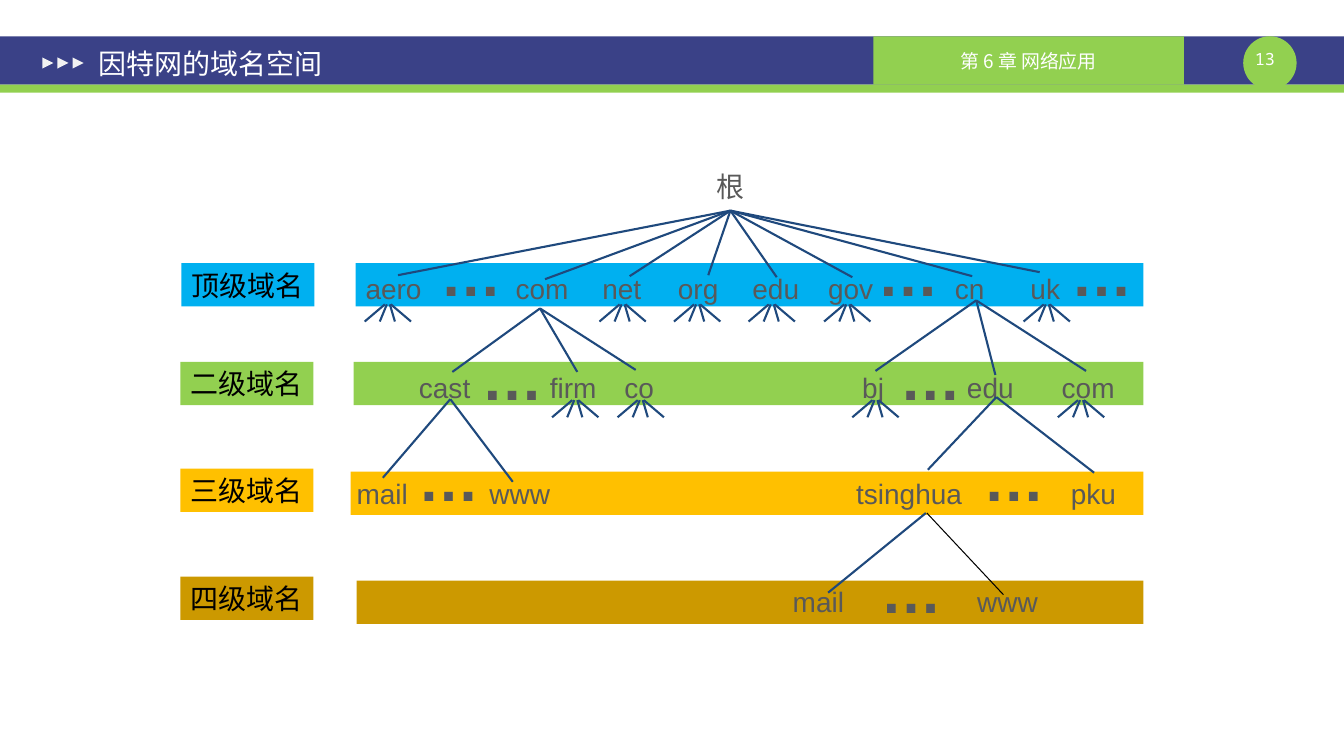
"""Build a slide that shows the Internet domain name space as a tree."""
from lxml import etree
from pptx import Presentation
from pptx.dml.color import RGBColor
from pptx.enum.shapes import MSO_CONNECTOR, MSO_SHAPE as Preset
from pptx.enum.text import MSO_ANCHOR as Anchor, MSO_AUTO_SIZE as AutoSize, PP_ALIGN as Align
from pptx.oxml.ns import qn
from pptx.util import Pt

PX = 9144
SLIDE_SIZE = (1334, 750)
NAVY, GREEN, WHITE, GREY, BLUE, BLACK = "3A4187", "92D050", "FFFFFF", "595959", "1F497D", "000000"

TITLE = ("因特网的域名空间", (85, 39, 583, 47))
CHAPTER = ("第 6 章 网络应用", (867, 36, 308, 48))
PAGE = ("13 ", (1234, 48, 53, 20))
ROOT = ("根", (697, 161, 56, 48))
HEADER_SHAPES = [
    (Preset.RECTANGLE, (0, 36, 1334, 48), NAVY),
    (Preset.RECTANGLE, (0, 84, 1334, 8), GREEN),
    (Preset.OVAL, (1234, 36, 53, 53), GREEN),
]
MARKER_LEFT, MARKER_STEP, MARKER_TOP, MARKER_SIDE = 42, 15, 57, 11

LEVELS = [
    dict(label="顶级域名", label_at=(180, 261), band=(353, 261), color="00B0F0",
         name_top=264, dots_top=228, dots=[427, 861, 1053],
         names=[("aero", 353, 76), ("com", 502, 73), ("net", 588, 59), ("org", 663, 61),
                ("edu", 737, 67), ("gov", 812, 65), ("cn", 938, 52), ("uk", 1013, 50)],
         fan_top=302, fans=[385, 618, 692, 766, 841, 1039]),
    dict(label="二级域名", label_at=(179, 359), band=(351, 359), color=GREEN,
         name_top=363, dots_top=331, dots=[468, 883],
         names=[("cast", 406, 80), ("firm", 536, 76), ("co", 610, 54),
                ("bj", 846, 42), ("edu", 950, 67), ("com", 1044, 73)],
         fan_top=397, fans=[571, 636, 869, 1073]),
    dict(label="三级域名", label_at=(179, 465), band=(348, 468), color="FFC000",
         name_top=468, dots_top=432, dots=[405, 966],
         names=[("mail", 344, 72), ("www", 476, 81), ("tsinghua", 840, 126), ("pku", 1053, 65)],
         fan_top=0, fans=[]),
    dict(label="四级域名", label_at=(179, 572), band=(354, 576), color="CC9900",
         name_top=575, dots_top=543, dots=[864],
         names=[("mail", 777, 72), ("www", 960, 81)],
         fan_top=0, fans=[]),
]
BAND_RIGHT, BAND_HEIGHT, LABEL_WIDTH = 1135, 43, 132
NAME_HEIGHT, DOTS_WIDTH, DOTS_HEIGHT = 44, 82, 84

ROOT_CHILDREN = [(395, 273), (541, 277), (625, 274), (703, 273),
                 (771, 275), (846, 275), (965, 274), (1032, 270)]
BRANCHES = [
    ((536, 306), [(449, 369), (573, 369), (631, 367)]),
    ((969, 298), [(869, 368), (988, 372), (1078, 368)]),
    ((447, 396), [(380, 474), (509, 478)]),
    ((989, 394), [(921, 466), (1086, 469)]),
    ((919, 509), [(822, 588)]),
]
THIN_BRANCH = ((920, 509), (996, 590))
FAN = [(3, 23), (2, 7), (-3, -23), (-1, -8)]
FAN_HEIGHT = 17


def emu(lengths):
    return [length * PX for length in lengths]


def rgb(value):
    return RGBColor.from_string(value)


def add_block(slide, preset, place, color):
    block = slide.shapes.add_shape(preset, *emu(place))
    block.shadow.inherit = False
    block.fill.solid()
    block.fill.fore_color.rgb = rgb(color)
    block.line.fill.background()
    return block


def write(holder, words, color, size=20, font="Arial", bold=False, align=Align.LEFT, **frame_format):
    frame = holder.text_frame
    settings = dict(word_wrap=False, vertical_anchor=Anchor.TOP) | frame_format
    for key, value in settings.items():
        setattr(frame, key, value)
    paragraph = frame.paragraphs[0]
    paragraph.alignment = align
    run = paragraph.add_run()
    run.text = words
    for key, value in dict(name=font, size=Pt(size), bold=bold).items():
        setattr(run.font, key, value)
    run.font.color.rgb = rgb(color)


def add_words(slide, words, place, color, **formats):
    write(slide.shapes.add_textbox(*emu(place)), words, color, **formats)


def add_line(slide, start, end, color=BLUE, width=1.5):
    line = slide.shapes.add_connector(MSO_CONNECTOR.STRAIGHT, *emu(start + end))
    line.line.color.rgb = rgb(color)
    line.line.width = Pt(width)
    etree.SubElement(line._element.spPr, qn("a:effectLst"))
    return line


def margins(across, down):
    return dict(margin_left=across * PX, margin_right=across * PX,
                margin_top=down * PX, margin_bottom=down * PX)


def add_header(slide):
    for preset, place, color in HEADER_SHAPES:
        add_block(slide, preset, place, color)
    add_words(slide, *PAGE, WHITE, size=12, font="Noto Sans Mono", align=Align.CENTER,
              word_wrap=True, **margins(0, 0))
    words, place = CHAPTER
    write(add_block(slide, Preset.RECTANGLE, place, GREEN), words, WHITE, size=13.5,
          font="Noto Sans CJK SC", align=Align.CENTER, word_wrap=True, vertical_anchor=Anchor.MIDDLE)
    for step in range(3):
        place = (MARKER_LEFT + step * MARKER_STEP, MARKER_TOP, MARKER_SIDE, MARKER_SIDE)
        add_block(slide, Preset.ISOSCELES_TRIANGLE, place, "F2F2F2").rotation = 90
    add_words(slide, *TITLE, WHITE, word_wrap=True, vertical_anchor=Anchor.MIDDLE, **margins(13, 7))


def add_level(slide, level):
    left, top = level["band"]
    add_block(slide, Preset.RECTANGLE, (left, top, BAND_RIGHT - left, BAND_HEIGHT), level["color"])
    label = add_block(slide, Preset.RECTANGLE, level["label_at"] + (LABEL_WIDTH, BAND_HEIGHT), level["color"])
    write(label, level["label"], BLACK, auto_size=AutoSize.SHAPE_TO_FIT_TEXT, **margins(10, 5))
    for name, left, width in level["names"]:
        add_words(slide, name, (left, level["name_top"], width, NAME_HEIGHT), GREY,
                  auto_size=AutoSize.SHAPE_TO_FIT_TEXT)
    for left in level["dots"]:
        add_words(slide, "…", (left, level["dots_top"], DOTS_WIDTH, DOTS_HEIGHT), GREY, size=44,
                  bold=True, auto_size=AutoSize.SHAPE_TO_FIT_TEXT)


def add_branches(slide, root):
    for child in ROOT_CHILDREN:
        add_line(slide, child, child).begin_connect(root, 2)
    for parent, children in BRANCHES:
        for child in children:
            add_line(slide, parent, child)
    add_line(slide, *THIN_BRANCH, color=BLACK, width=0.75)
    for level in LEVELS:
        top = level["fan_top"]
        for center in level["fans"]:
            for near, far in FAN:
                add_line(slide, (center + near, top), (center + far, top + FAN_HEIGHT))


def main():
    deck = Presentation()
    deck.slide_width, deck.slide_height = emu(SLIDE_SIZE)
    slide = deck.slides.add_slide(deck.slide_layouts[6])
    add_header(slide)
    for level in LEVELS:
        add_level(slide, level)
    words, place = ROOT
    root = add_block(slide, Preset.RECTANGLE, place, WHITE)
    write(root, words, GREY, align=Align.CENTER, vertical_anchor=Anchor.MIDDLE)
    add_branches(slide, root)
    deck.save("out.pptx")


if __name__ == "__main__":
    main()
